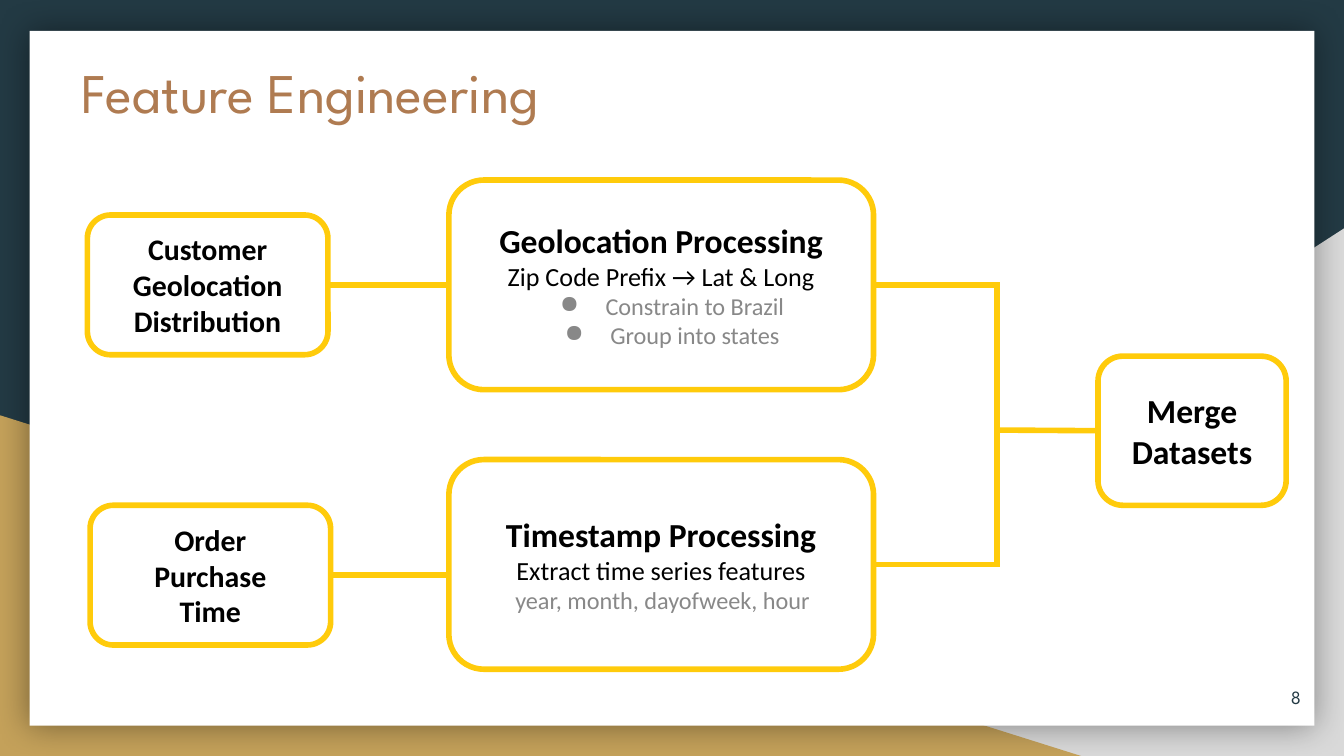
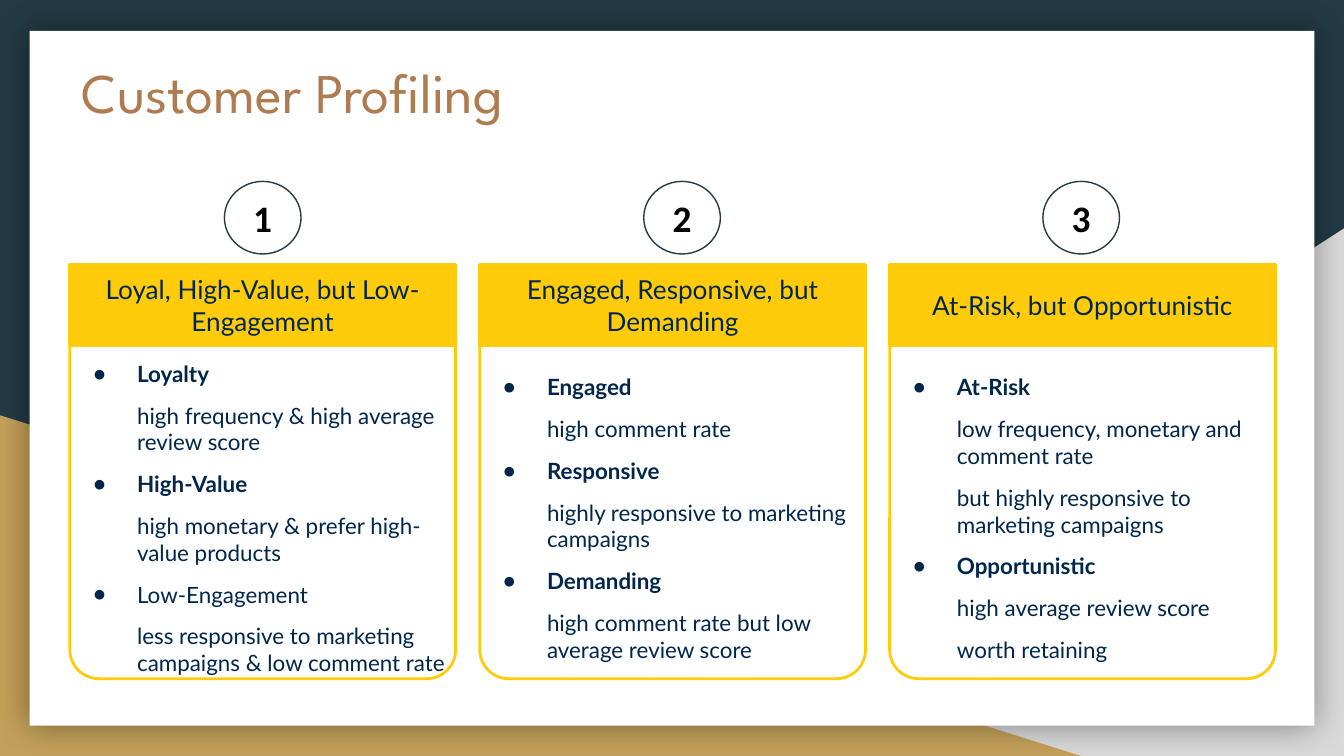
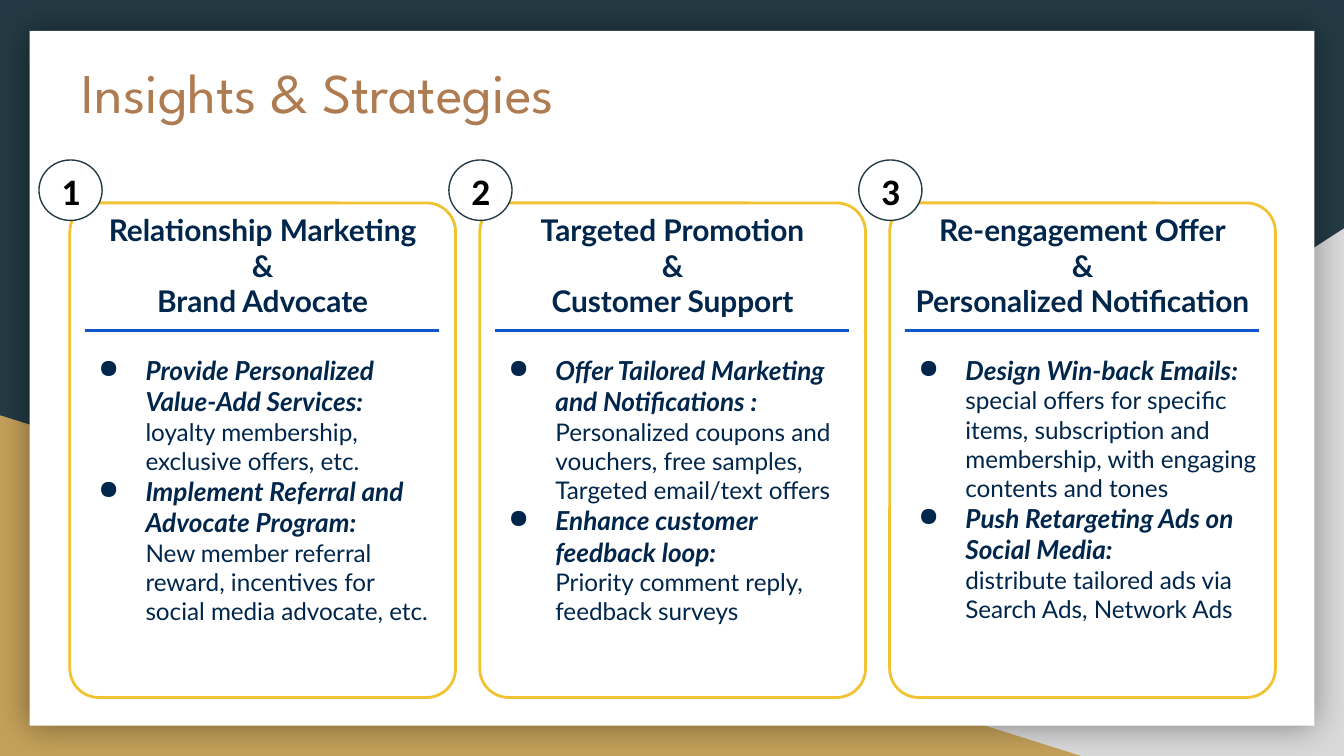
"""Build three slides on features, customer profiles and strategies."""
from lxml import etree
from pptx import Presentation
from pptx import util as u
from pptx.dml.color import RGBColor
from pptx.enum import shapes, text
from pptx.oxml.ns import qn

NAVY = RGBColor(0x23, 0x3A, 0x44)
SILVER = RGBColor(0xD9, 0xD9, 0xD9)
OCHRE = RGBColor(0xC4, 0xA1, 0x5A)
COPPER = RGBColor(0xAF, 0x7B, 0x51)
YELLOW = RGBColor(0xFF, 0xCB, 0x0B)
GOLD = RGBColor(0xF1, 0xC2, 0x32)
BLUE = RGBColor(0x11, 0x55, 0xCC)
INK = RGBColor(0x00, 0x26, 0x4B)
GREY = RGBColor(0x88, 0x88, 0x88)
WHITE = RGBColor(0xFF, 0xFF, 0xFF)
BLACK = RGBColor(0, 0, 0)

SHAPE = shapes.MSO_SHAPE
ALIGN = text.PP_ALIGN
ANCHOR = text.MSO_ANCHOR
COLUMNS = [0.52 + 3.05 * column for column in range(3)]
COLUMN_WIDTH = 2.87
PARAGRAPH_KEYS = ("alignment", "space_before", "space_after")

TITLE = dict(name="League Spartan", size=u.Pt(30), color=COPPER, alignment=ALIGN.LEFT)
PAGE = dict(name="League Spartan", size=u.Pt(10), color=NAVY, alignment=ALIGN.RIGHT)
STEP = dict(name="Calibri", size=u.Pt(18), color=BLACK, bold=True, alignment=ALIGN.CENTER)
SOURCE = STEP | dict(size=u.Pt(16))
NUMBER = STEP | dict(size=u.Pt(20))
METHOD = STEP | dict(size=u.Pt(14), bold=False)
DETAIL = METHOD | dict(size=u.Pt(13), color=GREY)
DETAIL_BULLET = DETAIL | dict(left=0.5, hang=0.34, bullet=True)
FEATURES = DETAIL | dict(alignment=ALIGN.LEFT, left=0.32)
BANNER = dict(name="Lato", size=u.Pt(14), color=INK, alignment=ALIGN.CENTER)
TRAIT_NOTE = dict(name="Lato", size=u.Pt(12), color=INK, bold=False, alignment=ALIGN.LEFT,
                  space_before=u.Pt(8), left=0.5)
TRAIT_PLAIN = TRAIT_NOTE | dict(hang=0.33, bullet=True)
TRAIT = TRAIT_PLAIN | dict(bold=True)
STRATEGY = BANNER | dict(size=u.Pt(16), bold=True)
ACTION_NOTE = BANNER | dict(size=u.Pt(13), alignment=ALIGN.LEFT, left=0.5)
ACTION = ACTION_NOTE | dict(size=u.Pt(14), bold=True, italic=True, hang=0.35, bullet=True)

PROFILES = [
    ("Loyal, High-Value, but Low-Engagement", 1.67, [
        ("Loyalty", TRAIT),
        ("high frequency & high average review score", TRAIT_NOTE),
        ("High-Value", TRAIT),
        ("high monetary & prefer high-value products", TRAIT_NOTE),
        ("Low-Engagement", TRAIT_PLAIN),
        ("less responsive to marketing campaigns & low comment rate", TRAIT_NOTE)]),
    ("Engaged, Responsive, but Demanding", 4.79, [
        ("Engaged", TRAIT),
        ("high comment rate", TRAIT_NOTE),
        ("Responsive", TRAIT),
        ("highly responsive to marketing campaigns", TRAIT_NOTE),
        ("Demanding", TRAIT),
        ("high comment rate but low average review score", TRAIT_NOTE)]),
    ("At-Risk, but Opportunistic", 7.76, [
        ("At-Risk", TRAIT),
        ("low frequency, monetary and comment rate", TRAIT_NOTE),
        ("but highly responsive to marketing campaigns", TRAIT_NOTE),
        ("Opportunistic", TRAIT),
        ("high average review score", TRAIT_NOTE),
        ("worth retaining", TRAIT_NOTE)]),
]

STRATEGIES = [
    (["Relationship Marketing", "&", "Brand Advocate"], [
        ("Provide Personalized Value-Add Services:", ACTION),
        ("loyalty membership, exclusive offers, etc.", ACTION_NOTE),
        ("Implement Referral and Advocate Program:", ACTION),
        ("New member referral reward, incentives for", ACTION_NOTE),
        ("social media advocate, etc.", ACTION_NOTE)]),
    (["Targeted Promotion", "&", "Customer Support"], [
        ("Offer Tailored Marketing and Notifications :", ACTION),
        ("Personalized coupons and vouchers, free samples,", ACTION_NOTE),
        ("Targeted email/text offers", ACTION_NOTE),
        ("Enhance customer feedback loop:", ACTION),
        ("Priority comment reply, feedback surveys", ACTION_NOTE)]),
    (["Re-engagement Offer", "&", "Personalized Notification"], [
        ("Design Win-back Emails:", ACTION),
        ("special offers for specific items, subscription and membership, "
         "with engaging contents and tones", ACTION_NOTE),
        ("Push Retargeting Ads on Social Media:", ACTION),
        ("distribute tailored ads via Search Ads, Network Ads", ACTION_NOTE)]),
]


def apply(target, values):
    """Set each named attribute on the target."""
    for name, value in values.items():
        setattr(target, name, value)


def box(left, top, width, height):
    """Return a position and size in inches."""
    return [u.Inches(value) for value in (left, top, width, height)]


class Deck:
    """Hold the shared style and the current slide."""

    def __init__(self):
        self.presentation = Presentation()
        apply(self.presentation, dict(slide_width=u.Inches(10), slide_height=u.Inches(5.625)))
        self.slide = None

    def add_slide(self, title, layout=5):
        """Start a slide and place its title."""
        self.slide = self.presentation.slides.add_slide(self.presentation.slide_layouts[layout])
        self.place(self.slide.shapes.title, (0.51, 0.33, 8.21, 1.04))
        self.set_text(self.slide.shapes.title, [(title, TITLE)], ANCHOR.TOP)

    def place(self, shape, area):
        """Move and resize a shape."""
        apply(shape, dict(zip(("left", "top", "width", "height"), box(*area))))

    def set_text(self, shape, lines, anchor=ANCHOR.MIDDLE, margins=(0.1, 0.1, 0.1, 0.1)):
        """Fill a shape with styled paragraphs."""
        frame = shape.text_frame
        sides = ("margin_left", "margin_top", "margin_right", "margin_bottom")
        apply(frame, dict(zip(sides, box(*margins))))
        apply(frame, dict(word_wrap=True, auto_size=text.MSO_AUTO_SIZE.NONE,
                          vertical_anchor=anchor))
        for index, (words, style) in enumerate(lines):
            paragraph = frame.paragraphs[0] if index == 0 else frame.add_paragraph()
            values = dict(space_before=u.Pt(0)) | style
            if index == 0:
                values["space_before"] = u.Pt(0)
            color = values.pop("color")
            self.indent(paragraph, color, values.pop("left", 0), values.pop("hang", 0),
                        values.pop("bullet", False))
            apply(paragraph, {key: values.pop(key) for key in PARAGRAPH_KEYS if key in values})
            run = paragraph.add_run()
            run.text = words
            apply(run.font, values)
            run.font.color.rgb = color

    def indent(self, paragraph, color, left, hang, bullet):
        """Set the indents and the bullet of a paragraph."""
        properties = paragraph._p.get_or_add_pPr()
        properties.set("marL", str(u.Inches(left)))
        properties.set("indent", str(-u.Inches(hang)))
        if not bullet:
            etree.SubElement(properties, qn("a:buNone"))
            return
        bullet_color = etree.SubElement(properties, qn("a:buClr"))
        etree.SubElement(bullet_color, qn("a:srgbClr"), val=str(color))
        etree.SubElement(properties, qn("a:buChar"), char="●")

    def add_shape(self, kind, area, fill=WHITE, line=None, weight=1.5, corner=None):
        """Draw a flat preset shape."""
        shape = self.slide.shapes.add_shape(kind, *box(*area))
        shape.shadow.inherit = False
        shape.fill.solid()
        shape.fill.fore_color.rgb = fill
        if line is None:
            shape.line.fill.background()
        else:
            shape.line.color.rgb = line
            shape.line.width = u.Pt(weight)
        if corner is not None:
            shape.adjustments[0] = corner
        return shape

    def add_step(self, area, lines):
        """Draw a rounded process box."""
        shape = self.add_shape(SHAPE.ROUNDED_RECTANGLE, area, line=YELLOW, weight=3, corner=0.167)
        self.set_text(shape, lines)
        return shape

    def add_number(self, number, area):
        """Draw a numbered circle."""
        self.set_text(self.add_shape(SHAPE.OVAL, area, line=NAVY, weight=0.75),
                      [(str(number), NUMBER)])

    def add_line(self, start, end, color=YELLOW, weight=3, source=None, target=None):
        """Draw a straight line, joined to a source's right or a target's left."""
        points = [u.Inches(value) for value in (*start, *end)]
        connector = self.slide.shapes.add_connector(shapes.MSO_CONNECTOR.STRAIGHT, *points)
        connector.line.color.rgb = color
        connector.line.width = u.Pt(weight)
        etree.SubElement(connector.element.spPr, qn("a:effectLst"))
        if source is not None:
            connector.begin_connect(source, 3)
        if target is not None:
            connector.end_connect(target, 1)

    def add_list(self, index, area, lines):
        """Bring a body placeholder to the front and fill it."""
        placeholder = self.slide.placeholders[index]
        placeholder.element.getparent().append(placeholder.element)
        self.place(placeholder, area)
        self.set_text(placeholder, lines, margins=(0, 0, 0, 0))

    def add_page(self, number):
        """Place the page number."""
        self.set_text(self.slide.shapes.add_textbox(*box(9.18, 4.97, 0.6, 0.43)),
                      [(number, PAGE)])

    def dress_master(self):
        """Give the master its background, triangles and white panel."""
        master = self.presentation.slide_master
        master.background.fill.solid()
        master.background.fill.fore_color.rgb = NAVY
        right = self.add_shape(SHAPE.RIGHT_TRIANGLE, (3.92, 1.7, 6.08, 3.93), SILVER)
        right.element.spPr.xfrm.set("flipH", "1")
        left = self.add_shape(SHAPE.RIGHT_TRIANGLE, (0, 3.09, 8.06, 2.54), OCHRE)
        panel = self.add_shape(SHAPE.RECTANGLE, (0.22, 0.23, 9.56, 5.17))
        effects = panel.element.spPr.find(qn("a:effectLst"))
        shadow = etree.SubElement(effects, qn("a:outerShdw"), blurRad=str(u.Pt(18)),
                                  dist="0", dir="0", algn="ctr", rotWithShape="0")
        shade = etree.SubElement(shadow, qn("a:srgbClr"), val=str(BLACK))
        etree.SubElement(shade, qn("a:alpha"), val="40000")
        for position, shape in enumerate((right, left, panel)):
            shape.element.nvSpPr.cNvPr.set("id", str(20 + position))
            master.shapes.element.insert(2 + position, shape.element)


def build_features(deck):
    """Draw the feature engineering flow."""
    deck.add_slide("Feature Engineering")
    deck.dress_master()
    deck.add_page("8")
    geolocation = deck.add_step((3.34, 1.34, 3.16, 1.56), [
        ("Geolocation Processing", STEP), ("Zip Code Prefix → Lat & Long", METHOD),
        ("Constrain to Brazil", DETAIL_BULLET), ("Group into states", DETAIL_BULLET)])
    timestamp = deck.add_step((3.34, 3.42, 3.16, 1.56), [
        ("Timestamp Processing", STEP), ("Extract time series features", METHOD),
        ("year, month, dayofweek, hour", FEATURES)])
    customer = deck.add_step((0.65, 1.6, 1.79, 1.04), [
        ("Customer", SOURCE), ("Geolocation Distribution", SOURCE)])
    order = deck.add_step((0.67, 3.76, 1.79, 1.04), [
        (word, SOURCE) for word in ("Order", "Purchase", "Time")])
    merge = deck.add_step((8.17, 2.65, 1.4, 1.11), [
        (word, STEP) for word in ("Merge", "Datasets")])
    deck.add_line((2.44, 2.12), (3.34, 2.12), source=customer, target=geolocation)
    deck.add_line((2.46, 4.28), (3.34, 4.28), source=order)
    deck.add_line((6.5, 2.12), (7.42, 2.12), source=geolocation)
    deck.add_line((6.5, 4.2), (7.42, 4.2), source=timestamp)
    deck.add_line((7.42, 2.1), (7.42, 4.22))
    deck.add_line((7.42, 3.2), (8.17, 3.2), target=merge)


def build_profiles(deck):
    """Draw the three customer profiles."""
    deck.add_slide("Customer Profiling", layout=4)
    for number, (left, profile) in enumerate(zip(COLUMNS, PROFILES), 1):
        heading, circle_left, traits = profile
        deck.add_shape(SHAPE.ROUNDED_RECTANGLE, (left, 1.97, COLUMN_WIDTH, 3.08),
                       line=YELLOW, corner=0.075)
        banner = deck.add_shape(SHAPE.RECTANGLE, (left, 1.97, COLUMN_WIDTH, 0.6), YELLOW, YELLOW)
        deck.set_text(banner, [(heading, BANNER)], margins=(0, 0.1, 0, 0.1))
        last, style = traits[-1]
        deck.add_list(number, (left, 2.82, COLUMN_WIDTH, 2.07),
                      traits[:-1] + [(last, style | dict(space_after=u.Pt(8)))])
        deck.add_number(number, (circle_left, 1.35, 0.57, 0.54))
    spare = deck.slide.placeholders[4].element
    spare.getparent().remove(spare)


def build_strategies(deck):
    """Draw the three strategy cards."""
    deck.add_slide("Insights & Strategies")
    for number, (left, (heading, actions)) in enumerate(zip(COLUMNS, STRATEGIES), 1):
        card = deck.add_shape(SHAPE.ROUNDED_RECTANGLE, (left, 1.51, COLUMN_WIDTH, 3.68),
                              line=GOLD, corner=0.075)
        first, style = actions[0]
        lines = [(words, STRATEGY) for words in heading]
        lines += [(first, style | dict(space_before=u.Pt(19)))] + actions[1:]
        deck.set_text(card, lines, ANCHOR.TOP, (0, 0, 0, 0.1))
        deck.add_line((left + 0.11, 2.46), (left + 2.75, 2.46), BLUE, 1.5)
        deck.add_number(number, (left - 0.23, 1.19, 0.47, 0.45))


def main():
    """Build and save the presentation."""
    deck = Deck()
    build_features(deck)
    build_profiles(deck)
    build_strategies(deck)
    deck.presentation.save("out.pptx")


if __name__ == "__main__":
    main()
